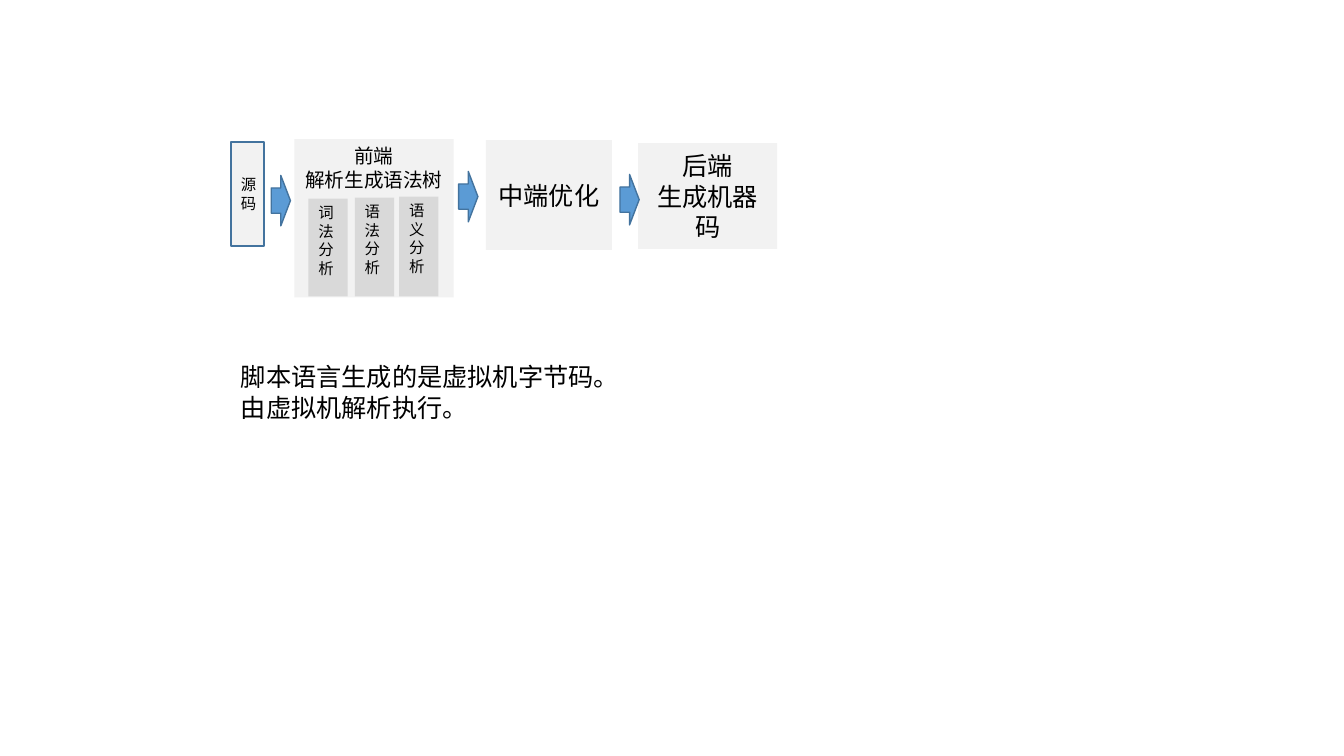
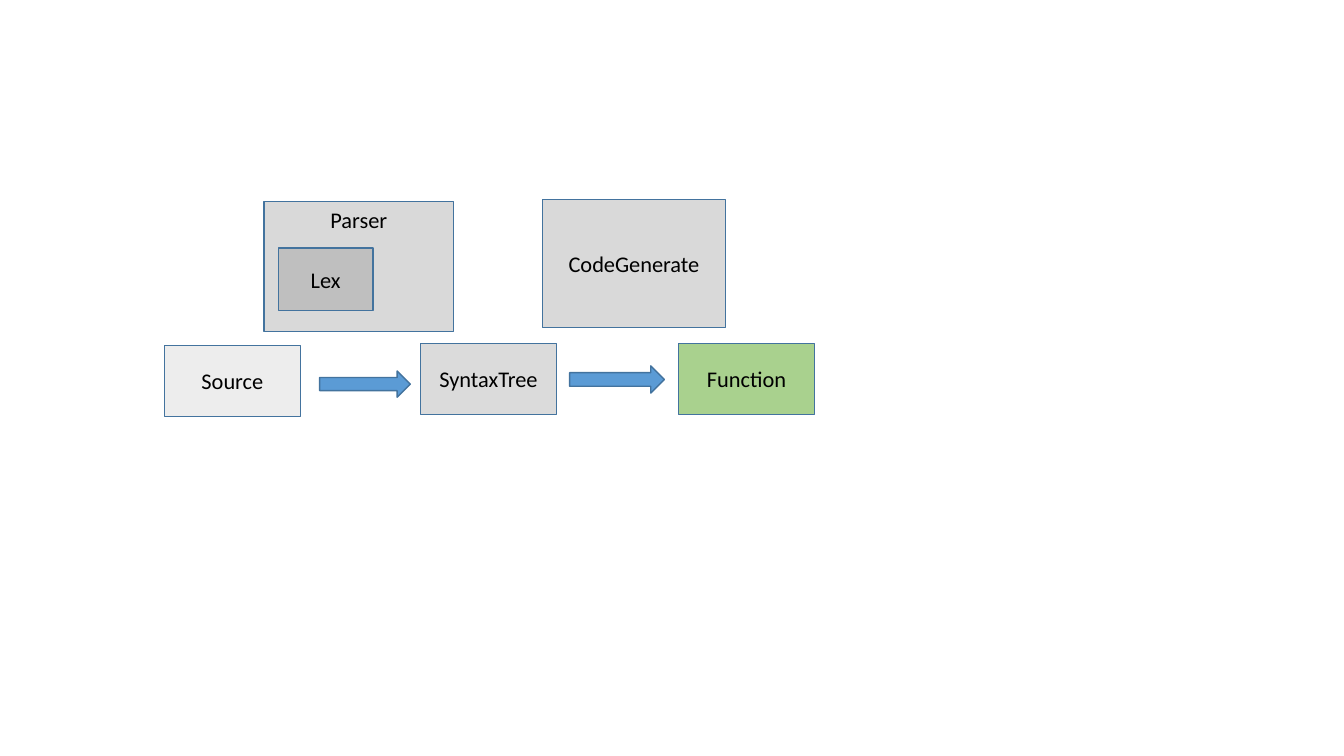
from pptx import Presentation
from pptx.dml.color import RGBColor
from pptx.enum.shapes import MSO_SHAPE
from pptx.enum.text import MSO_ANCHOR, PP_ALIGN
from pptx.util import Inches, Pt

WIDTH, HEIGHT = Inches(13.33), Inches(7.5)
FONT = "Calibri"
INK, OUTLINE, ARROW = "000000", "43739E", "5B9BD5"
PALE, GREY, DARK = "F2F2F2", "D9D9D9", "BFBFBF"
SILVER, MIST, GREEN = "DBDBDB", "EDEDED", "A9D18E"


def color(hex_text):
    return RGBColor.from_string(hex_text)


def area(x, y, w, h):
    """Convert percentages of the slide into lengths."""
    return (int(WIDTH * x / 100), int(HEIGHT * y / 100),
            int(WIDTH * w / 100), int(HEIGHT * h / 100))


def write(shape, lines, size, align=PP_ALIGN.CENTER, anchor=MSO_ANCHOR.MIDDLE):
    frame = shape.text_frame
    frame.word_wrap = True
    frame.vertical_anchor = anchor
    frame.text = "\n".join(lines)
    for paragraph in frame.paragraphs:
        paragraph.alignment = align
        for run in paragraph.runs:
            run.font.name = FONT
            run.font.size = Pt(size)
            run.font.color.rgb = color(INK)


def block(shapes, place, fill, outline=OUTLINE, kind=MSO_SHAPE.RECTANGLE):
    shape = shapes.add_shape(kind, *area(*place))
    shape.shadow.inherit = False
    shape.fill.solid()
    shape.fill.fore_color.rgb = color(fill)
    if outline:
        shape.line.color.rgb = color(outline)
        shape.line.width = Pt(1)
    else:
        shape.line.fill.background()
    return shape


def box(shapes, place, lines, size, fill, outline=OUTLINE, **layout):
    write(block(shapes, place, fill, outline), lines, size, **layout)


def arrow(shapes, *place):
    block(shapes, place, ARROW, kind=MSO_SHAPE.RIGHT_ARROW)


def vertical_box(shapes, place, text):
    shape = block(shapes, place, GREY, None)
    write(shape, [text], 11, PP_ALIGN.LEFT, MSO_ANCHOR.TOP)
    shape.element.txBody.bodyPr.set("vert", "wordArtVertRtl")


def compiler_stages(slide):
    flow = slide.shapes.add_group_shape().shapes
    box(flow, (21.9, 18.4, 11.85, 20.93), ["前端", "解析生成语法树"], 14,
        PALE, None, anchor=MSO_ANCHOR.TOP)
    bottom = 39.2
    analyses = [(22.95, 26.27, "词法分析"), (26.4, 26.13, "语法分析"),
                (29.7, 26, "语义分析")]
    for left, top, text in analyses:
        vertical_box(flow, (left, top, 2.93, bottom - top), text)
    box(flow, (17.18, 18.8, 2.48, 13.73), ["源码"], 11, PALE,
        align=PP_ALIGN.LEFT)
    box(flow, (36.15, 18.53, 9.38, 14.53), ["中端优化"], 18, PALE, None)
    box(flow, (47.48, 18.93, 10.35, 14), ["后端", "生成机器码"], 18, PALE, None)
    for left, top in [(20.18, 23.2), (34.13, 22.67), (46.13, 23.07)]:
        arrow(flow, left, top, 1.43, 6.67)

    remark = slide.shapes.add_textbox(*area(17.18, 47.2, 40.95, 9.47))
    write(remark, ["脚本语言生成的是虚拟机字节码。", "由虚拟机解析执行。"], 18,
          PP_ALIGN.LEFT, MSO_ANCHOR.TOP)


def code_generation(slide):
    parser = slide.shapes.add_group_shape().shapes
    box(parser, (19.65, 26.67, 14.1, 17.2), ["Parser"], 16, GREY,
        anchor=MSO_ANCHOR.TOP)
    box(parser, (20.7, 32.8, 7.05, 8.27), ["Lex"], 16, DARK)
    box(slide.shapes, (40.35, 26.4, 13.65, 16.93), ["CodeGenerate"], 16, GREY)

    flow = slide.shapes.add_group_shape().shapes
    products = [(50.48, 45.47, "Function", GREEN),
                (31.28, 45.47, "SyntaxTree", SILVER),
                (12.23, 45.73, "Source", MIST)]
    for left, top, text, fill in products:
        box(flow, (left, top, 10.13, 9.33), [text], 16, fill)
    arrow(flow, 23.78, 49.07, 6.75, 3.47)
    arrow(flow, 42.38, 48.4, 7.05, 3.6)


def main():
    deck = Presentation()
    deck.slide_width, deck.slide_height = WIDTH, HEIGHT
    blank = deck.slide_layouts[6]
    for build in (compiler_stages, code_generation):
        build(deck.slides.add_slide(blank))
    deck.save("out.pptx")


main()
